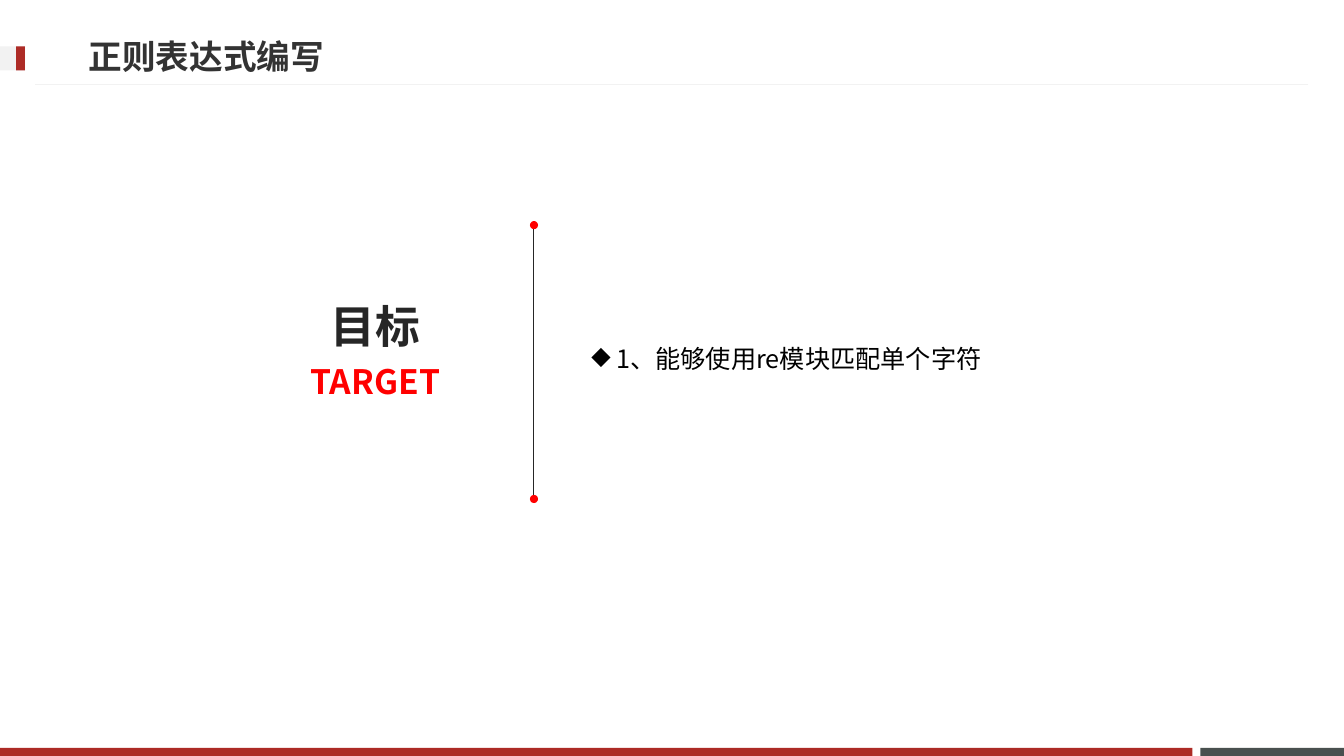
import pptx
import pptx.util
import pptx.dml.color
import pptx.enum.shapes
import pptx.enum.text
import pptx.oxml
from pptx.oxml.ns import qn

Pt = pptx.util.Pt
SHAPE = pptx.enum.shapes.MSO_SHAPE
ALIGN = pptx.enum.text.PP_ALIGN

TITLE = "正则表达式编写"
HEADING = "目标"
SUBHEADING = "TARGET"
GOALS = [" 1、能够使用re模块匹配单个字符"]

COLORS = {
    "brand": "AD2B26", "slate": "49504F", "pale": "F2F2F2", "title": "333333",
    "dark": "262626", "accent": "FF0000", "body": "000000",
}
SANS = "Noto Sans CJK SC"
WIDTH, HEIGHT = 960, 540

FOOTER_TOP = 534.24
BLOCKS = [  # left, top, width, height, colour
    (857.5, FOOTER_TOP, WIDTH - 857.5, HEIGHT - FOOTER_TOP, "slate"),
    (0, FOOTER_TOP, 851.8, HEIGHT - FOOTER_TOP, "brand"),
    (0, 33.1, 18, 17.3, "pale"),
    (11.5, 33.1, 6.3, 17.3, "brand"),
]
DIVIDER_X, DIVIDER_TOP, DIVIDER_BOTTOM = 381.4, 160.6, 356.2
DOT = 5.8


def rgb(color):
    return pptx.dml.color.RGBColor.from_string(COLORS[color])


def add_solid(slide, kind, left, top, width, height, color):
    solid = slide.shapes.add_shape(kind, Pt(left), Pt(top), Pt(width), Pt(height))
    solid.shadow.inherit = False
    solid.fill.solid()
    solid.fill.fore_color.rgb = rgb(color)
    solid.line.fill.background()


def add_rule(slide, x1, y1, x2, y2, color):
    rule = slide.shapes.add_connector(
        pptx.enum.shapes.MSO_CONNECTOR.STRAIGHT, Pt(x1), Pt(y1), Pt(x2), Pt(y2))
    rule.line.color.rgb = rgb(color)
    rule.line.width = Pt(0.75)
    rule._element.spPr.append(pptx.oxml.parse_xml(
        '<a:effectLst xmlns:a="http://schemas.openxmlformats.org/drawingml/2006/main"/>'))


def write(holder, lines, box, size, color, font=SANS, bold=False, align=ALIGN.LEFT,
          spacing=1.0, inset=(7.2, 3.6), middle=True, bullet=None):
    """Place a text holder at box and fill it with formatted paragraphs."""
    holder.left, holder.top, holder.width, holder.height = map(Pt, box)
    frame = holder.text_frame
    frame.word_wrap = True
    frame.auto_size = pptx.enum.text.MSO_AUTO_SIZE.NONE
    anchor = pptx.enum.text.MSO_ANCHOR
    frame.vertical_anchor = anchor.MIDDLE if middle else anchor.TOP
    frame.margin_left = frame.margin_right = Pt(inset[0])
    frame.margin_top = frame.margin_bottom = Pt(inset[1])
    for index, line in enumerate(lines):
        paragraph = frame.paragraphs[0] if index == 0 else frame.add_paragraph()
        paragraph.alignment = align
        paragraph.line_spacing = spacing
        if bullet:
            mark = paragraph._p.get_or_add_pPr().makeelement(qn("a:buChar"), {"char": bullet})
            paragraph._p.get_or_add_pPr().append(mark)
        run = paragraph.add_run()
        run.text = line
        run.font.size, run.font.bold, run.font.name = Pt(size), bold, font
        run.font.color.rgb = rgb(color)
        latin = run._r.rPr.find(qn("a:latin"))
        latin.addnext(latin.makeelement(qn("a:ea"), {"typeface": SANS}))


def add_text(slide, lines, box, **style):
    write(slide.shapes.add_textbox(0, 0, 0, 0), lines, box, **style)


def main():
    deck = pptx.Presentation()
    deck.slide_width, deck.slide_height = Pt(WIDTH), Pt(HEIGHT)
    slide = deck.slides.add_slide(deck.slide_layouts[5])

    for block in BLOCKS:
        add_solid(slide, SHAPE.RECTANGLE, *block)
    add_rule(slide, 934.6, 60.5, 25.2, 60.5, "pale")
    write(slide.shapes.title, [TITLE], (56.2, 19.4, 690.5, 41), size=24,
          color="title", font="Roboto", bold=True)

    add_text(slide, [HEADING], (200.2, 203, 135.4, 64.1), size=32, color="dark",
             bold=True, align=ALIGN.CENTER, spacing=0.9, inset=(5, 2.9))
    add_rule(slide, DIVIDER_X, DIVIDER_TOP, DIVIDER_X, DIVIDER_BOTTOM, "dark")
    for y in (DIVIDER_TOP, DIVIDER_BOTTOM):
        add_solid(slide, SHAPE.OVAL, DIVIDER_X - DOT / 2, y - DOT / 2 + 0.2, DOT, DOT, "accent")
    add_text(slide, [SUBHEADING], (216.7, 254.2, 166.3, 40.3), size=24, color="accent",
             bold=True, spacing=0.9, inset=(5, 2.9))
    add_text(slide, GOALS, (415.4, 220.3, 301.7, 121.7), size=18, color="body",
             spacing=2.0, middle=False, bullet="◆")

    deck.save("out.pptx")


if __name__ == "__main__":
    main()
